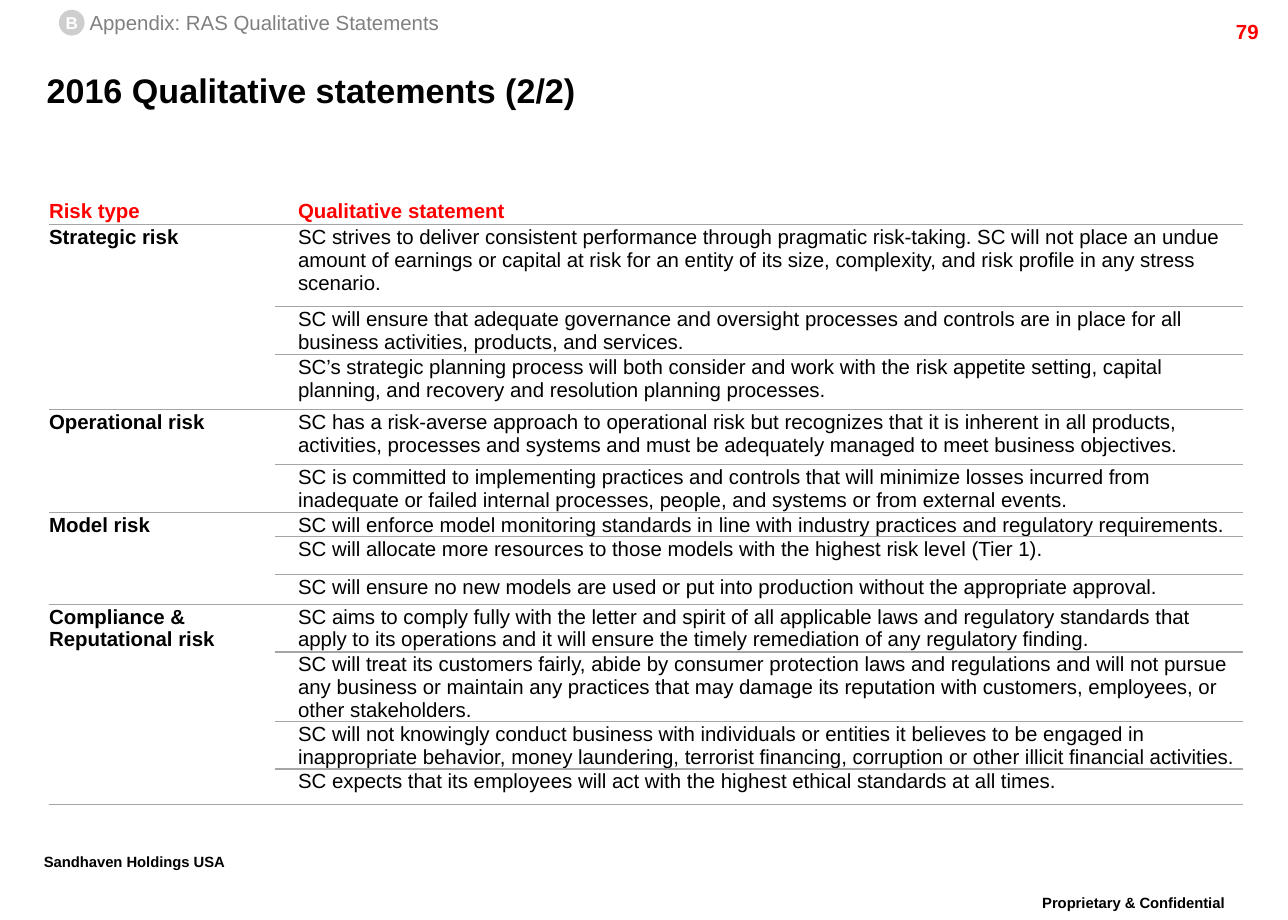
from dataclasses import dataclass

from lxml import etree
from pptx import Presentation
from pptx.dml.color import RGBColor
from pptx.enum.shapes import MSO_SHAPE
from pptx.enum.text import MSO_ANCHOR, PP_ALIGN
from pptx.oxml.ns import qn
from pptx.util import Inches, Pt

LEFT, CENTER, RIGHT = PP_ALIGN.LEFT, PP_ALIGN.CENTER, PP_ALIGN.RIGHT
TOP, MIDDLE = MSO_ANCHOR.TOP, MSO_ANCHOR.MIDDLE
OVAL = MSO_SHAPE.OVAL

FONT = "Arial"
COLORS = {"text": "000000", "accent": "FF0000", "muted": "808080",
          "badge": "CECECE", "rule": "A5A5A5", "white": "FFFFFF"}
CELL = Inches(0.1)  # the slide is a grid of 105 columns by 75 rows
GRID_COLUMNS, GRID_ROWS = 105, 75
NO_GRID_STYLE = "{2D5ABB26-0587-4C30-8999-92F81FD0307C}"
RULE_WIDTH = Pt(0.75)


@dataclass
class Statement:
    text: str
    rows: float  # height in grid rows


@dataclass
class Risk:
    name: str
    statements: list[Statement]


@dataclass
class Label:
    text: str
    area: tuple[float, float, float, float]  # column, row, columns, rows
    style: dict
    inset: float = 1


RISKS = [
    Risk("Strategic risk", [
        Statement("SC strives to deliver consistent performance through pragmatic risk-taking. SC will not place "
                  "an undue amount of earnings or capital at risk for an entity of its size, complexity, and risk "
                  "profile in any stress scenario.", 6.7),
        Statement("SC will ensure that adequate governance and oversight processes and controls are in place for "
                  "all business activities, products, and services.", 3.9),
        Statement("SC’s strategic planning process will both consider and work with the risk appetite setting, "
                  "capital planning, and recovery and resolution planning processes.", 4.5),
    ]),
    Risk("Operational risk", [
        Statement("SC has a risk-averse approach to operational risk but recognizes that it is inherent in all "
                  "products, activities, processes and systems and must be adequately managed to meet business "
                  "objectives.", 4.5),
        Statement("SC is committed to implementing practices and controls that will minimize losses incurred from "
                  "inadequate or failed internal processes, people, and systems or from external events.", 3.9),
    ]),
    Risk("Model risk", [
        Statement("SC will enforce model monitoring standards in line with industry practices and regulatory "
                  "requirements.", 1.9),
        Statement("SC will allocate more resources to those models with the highest risk level (Tier 1).", 3.1),
        Statement("SC will ensure no new models are used or put into production without the appropriate "
                  "approval.", 2.4),
    ]),
    Risk("Compliance & Reputational risk", [
        Statement("SC aims to comply fully with the letter and spirit of all applicable laws and regulatory "
                  "standards that apply to its operations and it will ensure the timely remediation of any "
                  "regulatory finding.", 3.9),
        Statement("SC will treat its customers fairly, abide by consumer protection laws and regulations and will "
                  "not pursue any business or maintain any practices that may damage its reputation with "
                  "customers, employees, or other stakeholders.", 5.7),
        Statement("SC will not knowingly conduct business with individuals or entities it believes to be engaged "
                  "in inappropriate behavior, money laundering, terrorist financing, corruption or other illicit "
                  "financial activities.", 3.8),
        Statement("SC expects that its employees will act with the highest ethical standards at all times.", 2.9),
    ]),
]

FOOTER = dict(size=15, bold=True, baseline=30000, spacing=0.86)
LABELS = [
    Label("Proprietary & Confidential", (81.5, 72.5, 21.8, 3.5), FOOTER | dict(align=CENTER)),
    Label("Sandhaven Holdings USA", (2.6, 69.1, 19.1, 3.5), FOOTER),
    Label("79", (93.6, 1.1, 10, 2.4), dict(bold=True, color="accent", align=RIGHT)),
    Label("Appendix: RAS Qualitative Statements", (7.3, 0.8, 28.8, 2), dict(color="muted"), inset=0),
]


def grid(*cells: float) -> list[int]:
    return [round(n * CELL) for n in cells]


def write(frame, text: str, *, size: float = 12, bold: bool = False, color: str = "text",
          align=LEFT, spacing: float = 1.0, baseline: int = 0) -> None:
    paragraph = frame.paragraphs[0]
    paragraph.alignment = align
    paragraph.line_spacing = spacing
    run = paragraph.add_run()
    run.text = text
    run.font.name, run.font.size, run.font.bold = FONT, Pt(size), bold
    run.font.color.rgb = RGBColor.from_string(COLORS[color])
    if baseline:
        run.font._element.set("baseline", str(baseline))


def set_margins(frame, horizontal: int = 0, vertical: int = 0) -> None:
    frame.margin_left = frame.margin_right = horizontal
    frame.margin_top = frame.margin_bottom = vertical


def add_label(slide, label: Label) -> None:
    frame = slide.shapes.add_textbox(*grid(*label.area)).text_frame
    set_margins(frame, Inches(0.1 * label.inset), Inches(0.05 * label.inset))
    frame.word_wrap = False
    write(frame, label.text, **label.style)


def add_badge(slide, letter: str) -> None:
    badge = slide.shapes.add_shape(OVAL, *grid(4.8, 0.8, 2.1, 2.1))
    badge.shadow.inherit = False
    badge.fill.solid()
    badge.fill.fore_color.rgb = RGBColor.from_string(COLORS["badge"])
    badge.line.fill.background()
    set_margins(badge.text_frame)
    badge.text_frame.word_wrap = False
    badge.text_frame.vertical_anchor = MIDDLE
    write(badge.text_frame, letter, size=10, bold=True, color="white", align=CENTER)


def add_rule(cell, side: str) -> None:
    """Draw a cell border; side is a:lnT or a:lnB."""
    border = etree.SubElement(cell._tc.get_or_add_tcPr(), qn(side), w=str(RULE_WIDTH))
    fill = etree.SubElement(border, qn("a:solidFill"))
    etree.SubElement(fill, qn("a:srgbClr"), val=COLORS["rule"])


def fill_cell(cell, text: str, indent: float, anchor=TOP, **style) -> None:
    cell.margin_left, cell.margin_bottom = Inches(indent), 0
    cell.margin_right = cell.margin_top = Inches(0.01)
    cell.vertical_anchor = anchor
    write(cell.text_frame, text, **style)


def add_risk_table(slide) -> None:
    heights = [2.3] + [item.rows for risk in RISKS for item in risk.statements]
    widths = [18.4, 78.9]
    table = slide.shapes.add_table(len(heights), len(widths),
                                   *grid(4, 16, sum(widths), sum(heights))).table
    table.first_row = table.horz_banding = False
    table._tbl.tblPr.find(qn("a:tableStyleId")).text = NO_GRID_STYLE
    for column, width in zip(table.columns, grid(*widths)):
        column.width = width
    for row, height in zip(table.rows, grid(*heights)):
        row.height = height

    indents = (0, 0.19)
    for column, heading in enumerate(("Risk type", "Qualitative statement")):
        fill_cell(table.cell(0, column), heading, indents[column], MIDDLE, bold=True, color="accent")
        add_rule(table.cell(0, column), "a:lnB")

    first = 1
    for risk in RISKS:
        last = first + len(risk.statements) - 1
        name_cell = table.cell(first, 0)
        name_cell.merge(table.cell(last, 0))
        fill_cell(name_cell, risk.name, indents[0], bold=True)
        add_rule(name_cell, "a:lnT")
        add_rule(name_cell, "a:lnB")
        add_rule(table.cell(last, 0), "a:lnB")
        for row, item in enumerate(risk.statements, first):
            statement_cell = table.cell(row, 1)
            fill_cell(statement_cell, item.text, indents[1])
            add_rule(statement_cell, "a:lnT")
            add_rule(statement_cell, "a:lnB")
        first = last + 1

    for cell in table.iter_cells():
        cell.fill.background()


def main() -> None:
    deck = Presentation()
    deck.slide_width, deck.slide_height = grid(GRID_COLUMNS, GRID_ROWS)
    slide = deck.slides.add_slide(deck.slide_layouts[5])
    title = slide.shapes.title
    title.left, title.top, title.width, title.height = grid(3.8, 4.9, 94.8, 4.8)
    set_margins(title.text_frame)
    title.text_frame.vertical_anchor = MIDDLE
    write(title.text_frame, "2016 Qualitative statements (2/2)", size=20, bold=True)
    add_risk_table(slide)
    add_badge(slide, "B")
    for label in LABELS:
        add_label(slide, label)
    deck.save("out.pptx")


if __name__ == "__main__":
    main()
